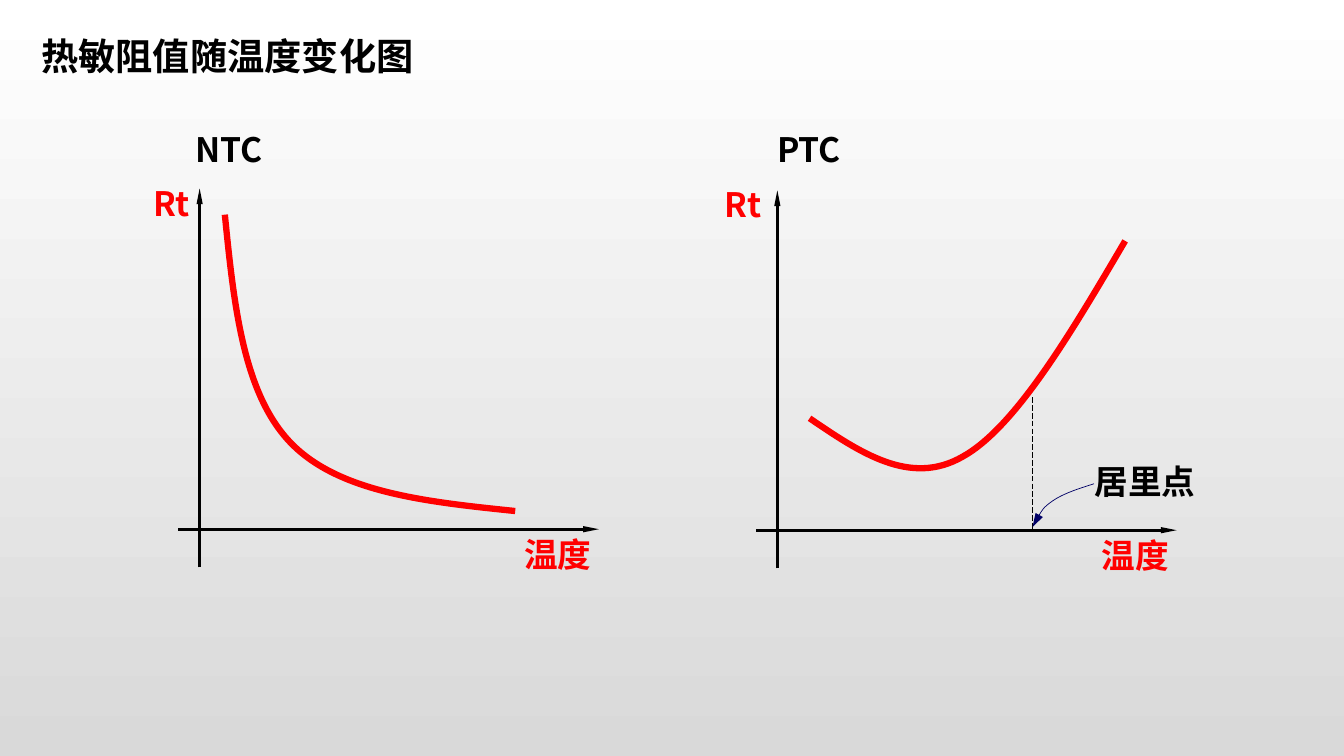
from dataclasses import dataclass

from lxml.etree import SubElement
from pptx import Presentation
from pptx.dml.color import RGBColor
from pptx.enum.dml import MSO_LINE
from pptx.enum.shapes import MSO_CONNECTOR
from pptx.enum.text import MSO_ANCHOR, MSO_AUTO_SIZE
from pptx.oxml.ns import qn
from pptx.util import Emu, Pt

PX = 9144  # 100 px to the inch
FONT = "Noto Sans CJK SC"
BLACK, RED, NAVY = "000000", "FF0000", "000066"
STRAIGHT = MSO_CONNECTOR.STRAIGHT
LONG_DASH = MSO_LINE.LONG_DASH
TOP = MSO_ANCHOR.TOP
GROW = MSO_AUTO_SIZE.SHAPE_TO_FIT_TEXT

Point = tuple[int, int]


@dataclass
class Label:
    text: str
    left: int
    top: int
    width: int
    color: str = BLACK
    size: float = 24
    height: int = 50
    wrap: bool = True


@dataclass
class Line:
    start: Point
    end: Point
    weight: float = 2.25
    dash: bool = False
    head: tuple[str, str] | None = ("sm", "lg")


@dataclass
class Curve:
    points: list[Point]  # start, then three control points per Bezier span
    color: str = RED
    weight: float = 4.5
    head: tuple[str, str] | None = None


@dataclass
class Chart:
    name: Label
    resistance: Label
    temperature: Label
    x_axis: Line
    y_axis: Line
    curve: Curve


def rgb(color: str) -> RGBColor:
    return RGBColor.from_string(color)


def px(length: int) -> Emu:
    return Emu(length * PX)


def style_line(shape, color: str, weight: float, dash: bool = False,
               head: tuple[str, str] | None = None) -> None:
    shape.line.color.rgb = rgb(color)
    shape.line.width = Pt(weight)
    if dash:
        shape.line.dash_style = LONG_DASH
    if head:
        width, length = head
        outline = shape.element.spPr.find(qn("a:ln"))
        SubElement(outline, qn("a:tailEnd"), type="triangle", w=width, len=length)


def add_text(slide, text: str, *, left: int, top: int, width: int, height: int,
             color: str, size: float, wrap: bool) -> None:
    box = slide.shapes.add_textbox(px(left), px(top), px(width), px(height))
    frame = box.text_frame
    frame.word_wrap = wrap
    frame.auto_size = GROW
    frame.vertical_anchor = TOP
    run = frame.paragraphs[0].add_run()
    run.text = text
    run.font.name = FONT
    run.font.size = Pt(size)
    run.font.bold = True
    run.font.color.rgb = rgb(color)
    SubElement(run.font._element, qn("a:ea"), typeface=FONT)


def draw_label(slide, label: Label) -> None:
    add_text(slide, label.text, left=label.left, top=label.top, width=label.width,
             height=label.height, color=label.color, size=label.size, wrap=label.wrap)


def draw_line(slide, line: Line) -> None:
    connector = slide.shapes.add_connector(
        STRAIGHT, *(px(value) for value in line.start + line.end))
    style_line(connector, BLACK, line.weight, line.dash, line.head)
    SubElement(connector.element.spPr, qn("a:effectLst"))


def bend_segments(shape) -> None:
    """Turn each three straight segments into one cubic Bezier span."""
    outline = next(shape.element.iter(qn("a:moveTo"))).getparent()
    segments = outline.findall(qn("a:lnTo"))
    for first in range(0, len(segments), 3):
        span = SubElement(outline, qn("a:cubicBezTo"))
        for segment in segments[first:first + 3]:
            span.append(segment[0])
            outline.remove(segment)


def draw_curve(slide, curve: Curve) -> None:
    start, *controls = [(px(x), px(y)) for x, y in curve.points]
    builder = slide.shapes.build_freeform(*start)
    builder.add_line_segments(controls, close=False)
    shape = builder.convert_to_shape()
    bend_segments(shape)
    shape.shadow.inherit = False
    shape.fill.background()
    style_line(shape, curve.color, curve.weight, head=curve.head)


def draw_chart(slide, chart: Chart) -> None:
    draw_line(slide, chart.x_axis)
    draw_line(slide, chart.y_axis)
    draw_curve(slide, chart.curve)
    for label in (chart.resistance, chart.temperature, chart.name):
        draw_label(slide, label)


TITLE = Label("热敏阻值随温度变化图", 31, 28, 425, size=26.6, height=55)

CHARTS = [
    Chart(
        name=Label("NTC", 184, 123, 90, wrap=False),
        resistance=Label("Rt", 142, 177, 94, RED),
        temperature=Label("温度", 510, 525, 115, RED),
        x_axis=Line((177, 525), (594, 525)),
        y_axis=Line((198, 563), (198, 187)),
        curve=Curve([(223, 213), (232, 302), (241, 391), (289, 440),
                     (337, 489), (424, 498), (511, 507)]),
    ),
    Chart(
        name=Label("PTC", 761, 123, 84, wrap=False),
        resistance=Label("Rt", 709, 178, 94, RED),
        temperature=Label("温度", 1083, 526, 115, RED),
        x_axis=Line((750, 526), (1167, 526)),
        y_axis=Line((771, 564), (771, 189)),
        curve=Curve([(803, 415), (853, 449), (903, 483), (955, 453),
                     (1007, 424), (1062, 331), (1116, 239)]),
    ),
]

# Curie point on the PTC curve
CURIE_DROP = Line((1024, 394), (1024, 525), weight=0.5, dash=True, head=None)
CURIE_LABEL = Label("居里点", 1076, 452, 126)
CURIE_POINTER = Curve([(1085, 480), (1069, 485), (1054, 490), (1044, 497),
                       (1034, 504), (1029, 513), (1024, 523)],
                      color=NAVY, weight=0.5, head=("med", "lg"))


def main() -> None:
    presentation = Presentation()
    presentation.slide_width, presentation.slide_height = px(1333), px(750)
    slide = presentation.slides.add_slide(presentation.slide_layouts[6])

    # Background: white at the top to grey at the bottom
    background = slide.background.fill
    background.gradient()
    background.gradient_angle = 270
    for stop, color in zip(background.gradient_stops, ("FFFFFF", "D9D9D9")):
        stop.color.rgb = rgb(color)

    # Title and the two charts
    draw_label(slide, TITLE)
    for chart in CHARTS:
        draw_chart(slide, chart)

    # Curie point marking
    draw_line(slide, CURIE_DROP)
    draw_label(slide, CURIE_LABEL)
    draw_curve(slide, CURIE_POINTER)

    presentation.save("out.pptx")


if __name__ == "__main__":
    main()
